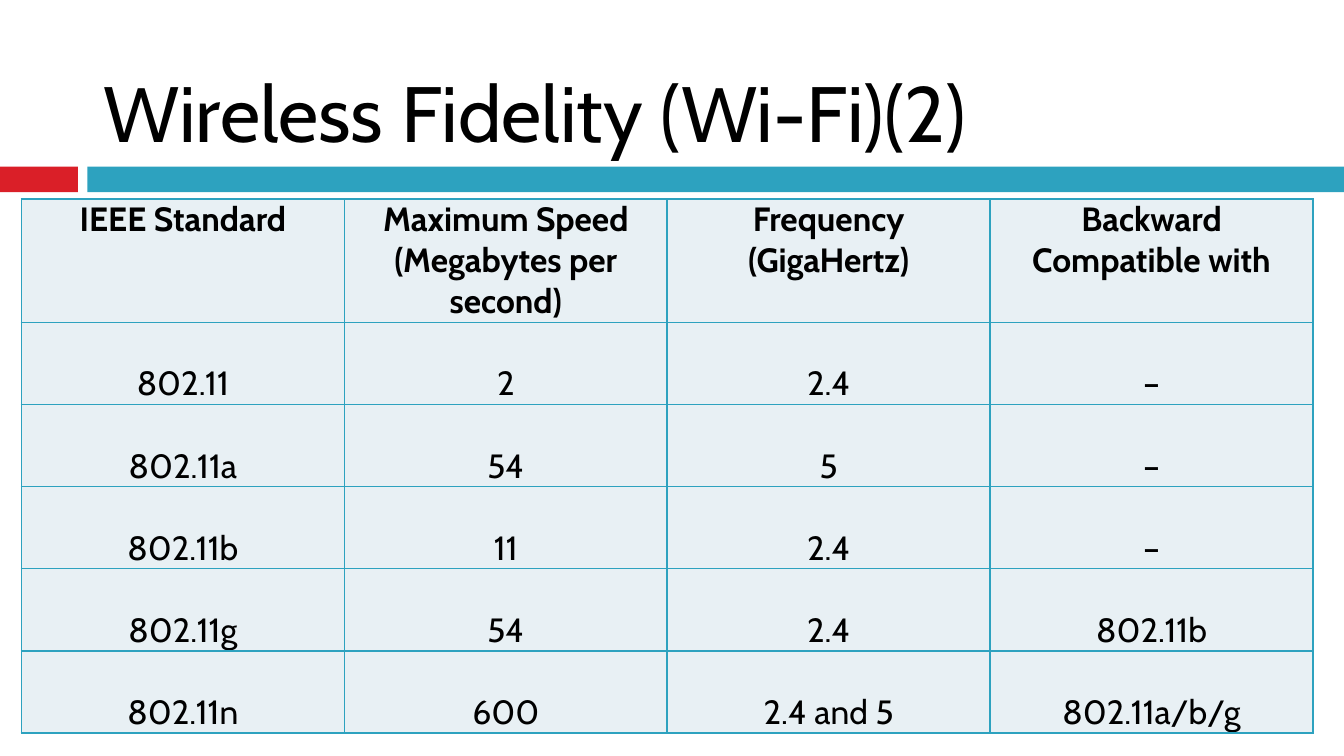
from lxml import etree
from pptx import Presentation
from pptx.dml.color import RGBColor
from pptx.enum.shapes import MSO_SHAPE
from pptx.enum.text import MSO_ANCHOR, MSO_AUTO_SIZE, PP_ALIGN
from pptx.oxml.ns import qn
from pptx.util import Inches, Pt

RECT = MSO_SHAPE.RECTANGLE
BOTTOM, TOP = MSO_ANCHOR.BOTTOM, MSO_ANCHOR.TOP
LEFT, CENTER = PP_ALIGN.LEFT, PP_ALIGN.CENTER
NO_AUTOFIT = MSO_AUTO_SIZE.NONE

FONT = "Cabin"
BLACK, RED, TEAL, PALE = "000000", "DA1F28", "2DA2BF", "E8F0F4"
TITLE_ONLY = 5
SLIDE_W = 10
SLIDE_H = SLIDE_W * 9 / 16

ROWS = [
    ["IEEE Standard", "Maximum Speed (Megabytes per second)",
     "Frequency (GigaHertz)", "Backward Compatible with"],
    ["802.11", "2", "2.4", "–"],
    ["802.11a", "54", "5", "–"],
    ["802.11b", "11", "2.4", "–"],
    ["802.11g", "54", "2.4", "802.11b"],
    ["802.11n", "600", "2.4 and 5", "802.11a/b/g"],
]


def rgb(value):
    return RGBColor.from_string(value)


def write(tf, text, size=18, color=BLACK, bold=False, align=LEFT, spacing=1.0):
    p = tf.paragraphs[0]
    p.alignment = align
    p.line_spacing = spacing
    r = p.add_run()
    r.text = text
    r.font.name = FONT
    r.font.size = Pt(size)
    r.font.bold = bold
    r.font.color.rgb = rgb(color)


def add_bar(slide, x, y, w, h, color):
    sp = slide.shapes.add_shape(RECT, Inches(x), Inches(y), Inches(w), Inches(h))
    sp.shadow.inherit = False
    sp.fill.solid()
    sp.fill.fore_color.rgb = rgb(color)
    sp.line.fill.background()


def add_band(slide, x, y, w, h, accent=0.58, gap=0.07):
    """Short red bar, a gap, then a teal bar to the right edge."""
    add_bar(slide, x, y, accent, h, RED)
    start = accent + gap
    add_bar(slide, x + start, y, w - start, h, TEAL)


def place_title(slide, x, y, w, h, text):
    title = slide.shapes.title
    title.left, title.top = Inches(x), Inches(y)
    title.width, title.height = Inches(w), Inches(h)
    tf = title.text_frame
    tf.word_wrap = True
    tf.auto_size = NO_AUTOFIT
    tf.vertical_anchor = BOTTOM
    write(tf, text, size=42)


def set_borders(cell, color, width):
    tc_pr = cell._tc.get_or_add_tcPr()
    for i, side in enumerate(("lnL", "lnR", "lnT", "lnB")):
        ln = etree.Element(qn(f"a:{side}"), w=str(Pt(width)))
        fill = etree.SubElement(ln, qn("a:solidFill"))
        etree.SubElement(fill, qn("a:srgbClr"), val=color)
        tc_pr.insert(i, ln)


def format_cell(cell, text, header):
    cell.margin_left = cell.margin_right = Inches(0.07)
    cell.margin_top = cell.margin_bottom = 0
    cell.vertical_anchor = TOP
    cell.fill.solid()
    cell.fill.fore_color.rgb = rgb(PALE)
    set_borders(cell, TEAL, 1)
    write(cell.text_frame, text, bold=header, align=CENTER,
          spacing=1.0 if header else 2.0)


def add_standards_table(slide, x, y, w, h, rows, header_h=0.92):
    table = slide.shapes.add_table(len(rows), len(rows[0]), Inches(x), Inches(y),
                                   Inches(w), Inches(h)).table
    for col in table.columns:
        col.width = Inches(w / len(rows[0]))
    row_h = (h - header_h) / (len(rows) - 1)
    for i, values in enumerate(rows):
        table.rows[i].height = Inches(row_h if i else header_h)
        for j, text in enumerate(values):
            format_cell(table.cell(i, j), text, header=i == 0)


def main():
    prs = Presentation()
    prs.slide_width, prs.slide_height = Inches(SLIDE_W), Inches(SLIDE_H)
    slide = prs.slides.add_slide(prs.slide_layouts[TITLE_ONLY])
    add_band(slide, 0, 1.24, SLIDE_W, 0.19)
    place_title(slide, 0.67, 0.13, 8.92, 1.1, "Wireless Fidelity (Wi-Fi)(2)")
    add_standards_table(slide, 0.16, 1.48, 9.61, 3.97, ROWS)
    prs.save("out.pptx")


if __name__ == "__main__":
    main()
